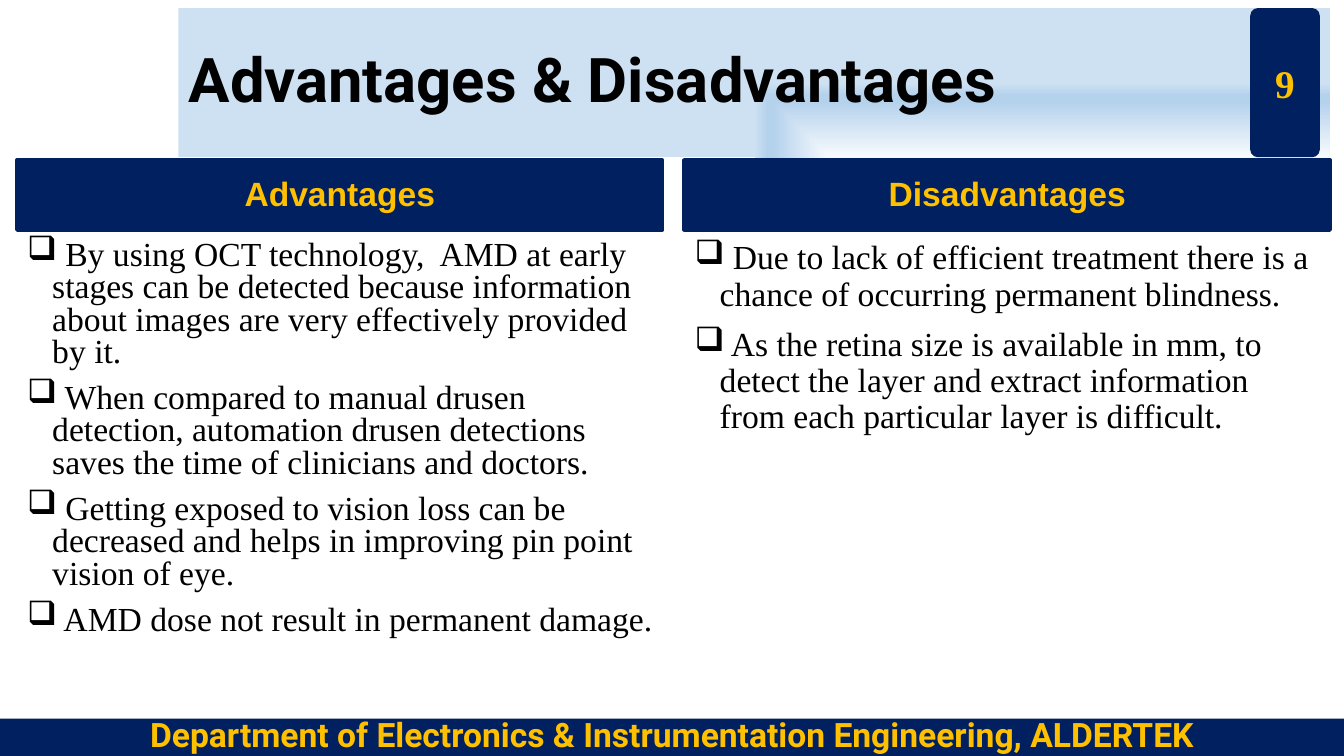
import pptx
import pptx.util
import pptx.dml.color
import pptx.enum.shapes
import pptx.enum.text
import pptx.oxml
import pptx.oxml.ns
from lxml import etree

Inches, Pt = pptx.util.Inches, pptx.util.Pt
ALIGN = pptx.enum.text.PP_ALIGN
ANCHOR = pptx.enum.text.MSO_ANCHOR
SHAPE = pptx.enum.shapes.MSO_SHAPE
qn = pptx.oxml.ns.qn

NAVY, GOLD, BLACK = "002060", "FFC000", "000000"
SERIF = "Times New Roman"
WIDE, HIGH = 13.33, 7.5
EDGE, GAP = 0.17, 0.22
COL = 6.4
TOP, HEAD, BODY = 1.59, 0.69, 4.72
BAND = (1.77, 0.08, 11.42, 1.48)
BADGE = (12.4, 0.08, 0.69, 1.48)
FOOT = (0, 7.13, WIDE, 0.4)

PROS = [
    " By using OCT technology,  AMD at early stages can be detected because information about images are very effectively provided by it.",
    " When compared to manual drusen detection, automation drusen detections saves the time of clinicians and doctors.",
    " Getting exposed to vision loss can be decreased and helps in improving pin point vision of eye.",
    " AMD dose not result in permanent damage.",
]
CONS = [
    " Due to lack of efficient treatment there is a chance of occurring permanent blindness.",
    " As the retina size is available in mm, to detect the layer and extract information from each particular layer is difficult.",
]


def tint(code):
    return pptx.dml.color.RGBColor.from_string(code)


def style(para, size, face, code, bold=False, align=ALIGN.LEFT, lead=1.0, above=0):
    para.alignment = align
    para.line_spacing = lead
    para.space_before = Pt(above)
    for run in para.runs:
        font = run.font
        font.size, font.name, font.bold = Pt(size), face, bold
        font.color.rgb = tint(code)


def edge(para, code):
    for run in para.runs:
        props = run.font._element
        line = etree.Element(qn("a:ln"), w="9525")
        fill = etree.SubElement(line, qn("a:solidFill"))
        etree.SubElement(fill, qn("a:srgbClr"), val=code)
        props.insert(0, line)


def bullet(para, mark):
    props = para._p.get_or_add_pPr()
    props.set("marL", str(Inches(0.25)))
    props.set("indent", str(-Inches(0.25)))
    etree.SubElement(props, qn("a:buChar"), char=mark)


def block(slide, box, text, kind=SHAPE.RECTANGLE):
    shape = slide.shapes.add_shape(kind, *map(Inches, box))
    shape.shadow.inherit = False
    shape.fill.solid()
    shape.fill.fore_color.rgb = tint(NAVY)
    shape.line.fill.background()
    frame = shape.text_frame
    frame.word_wrap = True
    frame.vertical_anchor = ANCHOR.MIDDLE
    frame.text = text
    return shape


def title(slide, box, text):
    shape = slide.shapes.title
    shape.left, shape.top, shape.width, shape.height = map(Inches, box)
    grad = etree.Element(qn("a:gradFill"), rotWithShape="1")
    stops = etree.SubElement(grad, qn("a:gsLst"))
    for share, code in [(0, "F7FAFD"), (74, "B5D2EC"), (83, "B5D2EC"), (100, "CEE1F2")]:
        stop = etree.SubElement(stops, qn("a:gs"), pos=str(share * 1000))
        etree.SubElement(stop, qn("a:srgbClr"), val=code)
    way = etree.SubElement(grad, qn("a:path"), {"path": "rect"})
    etree.SubElement(way, qn("a:fillToRect"), l="100000", t="100000")
    shape._element.spPr.append(grad)
    frame = shape.text_frame
    frame.text = text
    frame.vertical_anchor = ANCHOR.MIDDLE
    style(frame.paragraphs[0], 44, "Roboto", BLACK, True, lead=0.9)


def column(slide, box, name, items, lead):
    left, top, width, height = box
    head = block(slide, (left, top, width, HEAD), name)
    head.line.color.rgb = tint(NAVY)
    head.line.width = Pt(3)
    style(head.text_frame.paragraphs[0], 24, "Arial", GOLD, True, ALIGN.CENTER, 0.9, 10)
    low = height - BODY
    body = slide.shapes.add_textbox(*map(Inches, (left, top + low, width, BODY)))
    frame = body.text_frame
    frame.word_wrap = True
    frame.text = "\n".join(items)
    for para in frame.paragraphs:
        style(para, 24, SERIF, BLACK, lead=lead, above=10)
        bullet(para, "❑")


def footer(slide, box, text):
    shape = block(slide, box, text)
    shape.text_frame.vertical_anchor = ANCHOR.BOTTOM
    para = shape.text_frame.paragraphs[0]
    style(para, 24, "Roboto", GOLD, True, ALIGN.CENTER)
    edge(para, GOLD)


def badge(slide, box, text):
    shape = block(slide, box, text, SHAPE.ROUNDED_RECTANGLE)
    shape.adjustments[0] = 0.11
    frame = shape.text_frame
    frame.margin_left = frame.margin_right = Inches(0.05)
    frame.margin_top = frame.margin_bottom = Inches(0.05)
    para = frame.paragraphs[0]
    style(para, 28, SERIF, GOLD, True, ALIGN.CENTER)
    edge(para, GOLD)


def main():
    deck = pptx.Presentation()
    deck.slide_width, deck.slide_height = Inches(WIDE), Inches(HIGH)
    slide = deck.slides.add_slide(deck.slide_layouts[5])
    title(slide, BAND, "Advantages & Disadvantages")
    sides = [("Advantages", PROS, 0.8), ("Disadvantages", CONS, 0.9)]
    for rank, (name, items, lead) in enumerate(sides):
        left = EDGE + rank * (COL + GAP)
        column(slide, (left, TOP, COL, 0.75 + BODY), name, items, lead)
    footer(slide, FOOT, "Department of Electronics & Instrumentation Engineering, ALDERTEK")
    badge(slide, BADGE, "9")
    deck.save("out.pptx")


if __name__ == "__main__":
    main()
